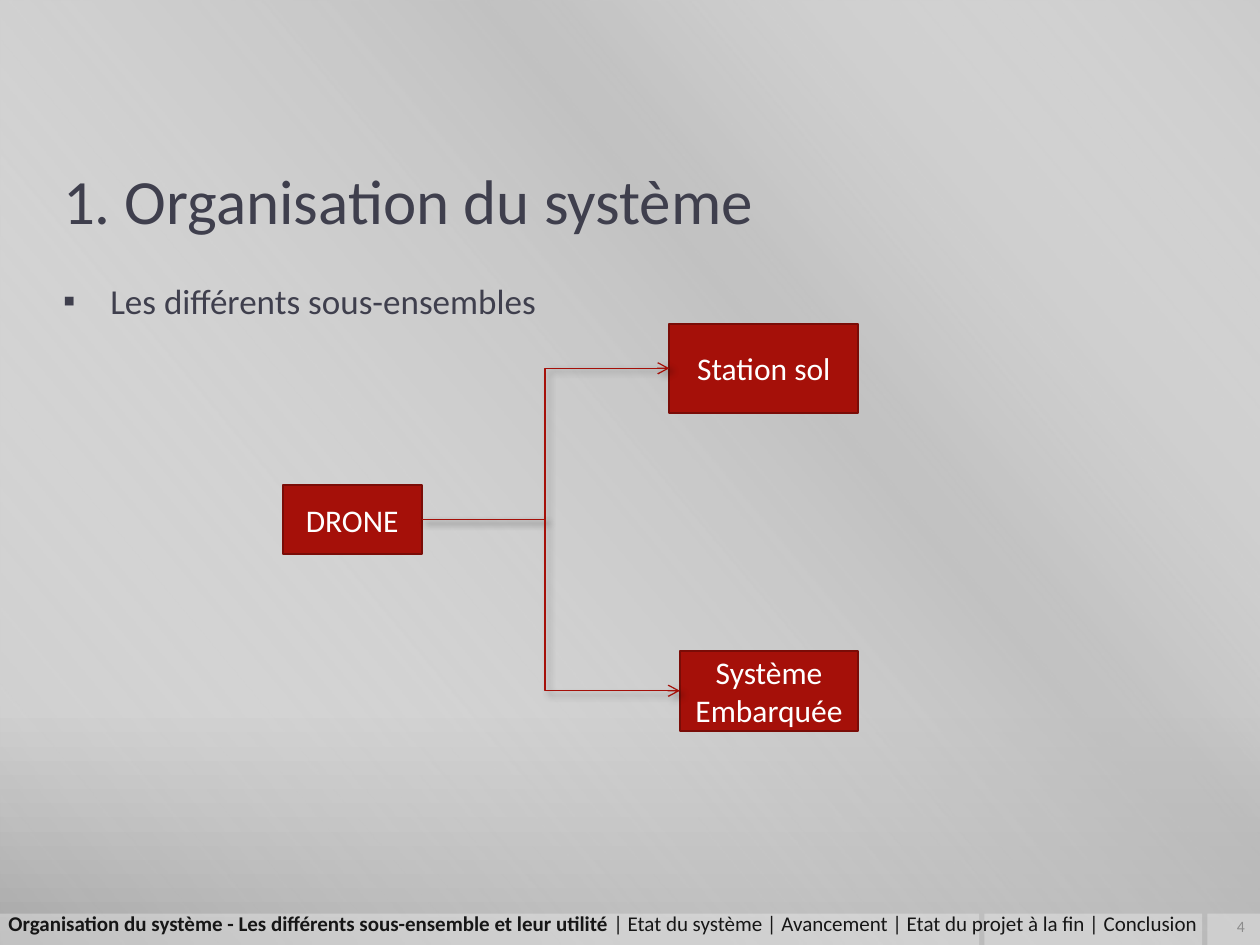
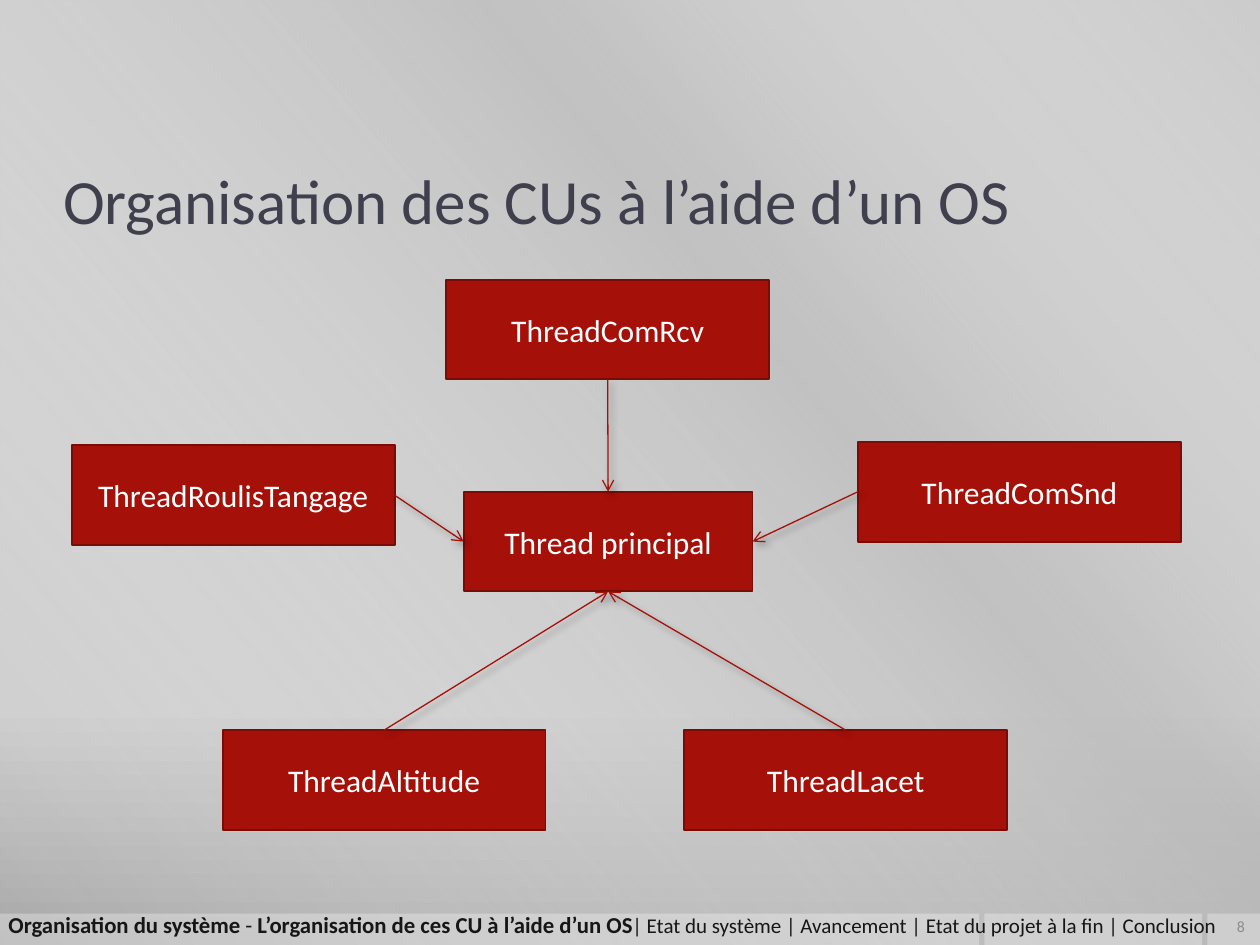
import pptx
import pptx.util
import pptx.oxml
import pptx.oxml.ns
import pptx.dml.color
import pptx.enum.shapes
import pptx.enum.text
import lxml.etree

Pt = pptx.util.Pt
qn = pptx.oxml.ns.qn
RGB = pptx.dml.color.RGBColor.from_string
ALIGN = pptx.enum.text.PP_ALIGN
ANCHOR = pptx.enum.text.MSO_ANCHOR
RECTANGLE = pptx.enum.shapes.MSO_SHAPE.RECTANGLE
CONNECTOR = pptx.enum.shapes.MSO_CONNECTOR
TOP, LEFT, BOTTOM, RIGHT = range(4)

COLORS = {
    "heading": "3F3F4D", "footer": "161616", "number": "8C8C8C",
    "box": "A51009", "box edge": "7A0C07", "white": "FFFFFF",
    "sheen": "BFBFBF", "shadow": "000000",
    "sky": "CBCBCB", "middle": "C8C8C8", "ground": "A7A7A7",
}
BAND_TOP, BAND_HEIGHT = 522, 18
BANDS = [(0, 559.5), (562.5, 124.5), (690, 30)]
TAGLINE = "| Etat du système | Avancement | Etat du projet à la fin | Conclusion"

SLIDES = [
    {
        "title": "1. Organisation du système",
        "bullets": ["Les différents sous-ensembles"],
        "number": "4",
        "boxes": {
            "DRONE": (161.5, 277.25, 79.5, 39.5),
            "Système Embarquée": (388.5, 372, 102, 45.5),
            "Station sol": (382.5, 185, 108, 51),
        },
        "bend": 311.5,
        "arrows": [
            ("DRONE", RIGHT, "Station sol", LEFT),
            ("DRONE", RIGHT, "Système Embarquée", LEFT),
        ],
        "footer": [
            ("Organisation du système - Les différents sous-ensemble et leur utilité ", 12, True),
            (TAGLINE, 12, False),
        ],
    },
    {
        "title": "Organisation des CUs à l’aide d’un OS",
        "bullets": [],
        "number": "8",
        "boxes": {
            "Thread principal": (265, 281, 165, 57),
            "ThreadRoulisTangage": (41, 254.5, 184.5, 57),
            "ThreadComRcv": (255, 159.75, 184.5, 57),
            "ThreadAltitude": (127.25, 417.25, 184.5, 57),
            "ThreadLacet": (391, 417.25, 184.5, 57),
            "ThreadComSnd": (490.25, 252.5, 184.5, 57),
        },
        "bend": None,
        "arrows": [
            ("ThreadComRcv", BOTTOM, "Thread principal", TOP),
            ("ThreadRoulisTangage", RIGHT, "Thread principal", LEFT),
            ("ThreadAltitude", TOP, "Thread principal", BOTTOM),
            ("ThreadLacet", TOP, "Thread principal", BOTTOM),
            ("ThreadComSnd", LEFT, "Thread principal", RIGHT),
        ],
        "footer": [
            ("Organisation du système ", 13, True),
            ("- ", 13, False),
            ("L’organisation de ces CU à l’aide d’un OS", 13, True),
            (TAGLINE, 12, False),
        ],
    },
]


def set_gradient(fill, holder, stops, angle):
    """Fill with (position, colour, opacity) stops; the angle turns clockwise."""
    fill.gradient()
    fill.gradient_angle = 360 - angle
    stop_list = next(holder.iter(qn("a:gsLst")))
    for old_stop in list(stop_list):
        stop_list.remove(old_stop)
    for position, color, opacity in stops:
        stop = lxml.etree.SubElement(stop_list, qn("a:gs"), pos=str(position * 1000))
        tint = lxml.etree.SubElement(stop, qn("a:srgbClr"), val=COLORS[color])
        if opacity < 100:
            lxml.etree.SubElement(tint, qn("a:alpha"), val=str(opacity * 1000))


def write_text(frame, runs, color, align, anchor, side_inset=7.2):
    """Write (text, size, bold) runs as one paragraph and return it."""
    settings = {
        "word_wrap": True, "auto_size": pptx.enum.text.MSO_AUTO_SIZE.NONE,
        "vertical_anchor": anchor,
        "margin_left": Pt(side_inset), "margin_right": Pt(side_inset),
        "margin_top": Pt(3.6), "margin_bottom": Pt(3.6),
    }
    for name, value in settings.items():
        setattr(frame, name, value)
    para = frame.paragraphs[0]
    para.alignment = align
    for text, size, bold in runs:
        span = para.add_run()
        span.text = text
        for name, value in {"name": "Calibri", "size": Pt(size), "bold": bold}.items():
            setattr(span.font, name, value)
        span.font.color.rgb = RGB(COLORS[color])
    return para


deck = pptx.Presentation()
deck.slide_width, deck.slide_height = Pt(720), Pt(540)
pages = [
    deck.slides.add_slide(deck.slide_layouts[1 if content["bullets"] else 5])
    for content in SLIDES
]

# Backdrop and footer bands are made on a page, then moved to the master
master = deck.slide_master
set_gradient(
    master.background.fill, master.element,
    [(0, "sky", 100), (76, "middle", 100), (100, "ground", 100)], 90,
)
sheen = pages[0].shapes.add_shape(RECTANGLE, 0, 0, Pt(720), Pt(540))
set_gradient(
    sheen.fill, sheen.element,
    [(0, "white", 0), (34, "sheen", 61), (38, "sheen", 76), (100, "white", 0)], 140,
)
backdrop = [sheen]
for left, width in BANDS:
    band = pages[0].shapes.add_shape(
        RECTANGLE, Pt(left), Pt(BAND_TOP), Pt(width), Pt(BAND_HEIGHT))
    band.fill.solid()
    band.fill.fore_color.rgb = RGB(COLORS["white"])
    tint = next(band.element.iter(qn("a:srgbClr")))
    lxml.etree.SubElement(tint, qn("a:alpha"), val="30000")
    backdrop.append(band)
for index, shape in enumerate(backdrop):
    shape.shadow.inherit = False
    shape.line.fill.background()
    shape.element.nvSpPr.cNvPr.set("id", str(100 + index))
    master.shapes.element.insert(2 + index, shape.element)

for page, content in zip(pages, SLIDES):
    title = page.shapes.title
    title.left, title.top, title.width, title.height = Pt(36), Pt(78), Pt(648), Pt(72)
    write_text(title.text_frame, [(content["title"], 36, False)],
               "heading", ALIGN.LEFT, ANCHOR.MIDDLE, 0)

    for bullet in content["bullets"]:
        body = page.placeholders[1]
        body.left, body.top, body.width, body.height = Pt(36), Pt(156), Pt(648), Pt(326)
        para = write_text(body.text_frame, [(bullet, 20, False)],
                          "heading", ALIGN.LEFT, ANCHOR.TOP, 0)
        para.space_before, para.space_after = Pt(4), Pt(6)
        properties = para._p.get_or_add_pPr()
        properties.set("marL", str(Pt(27)))
        properties.set("indent", str(-Pt(27)))
        lxml.etree.SubElement(properties, qn("a:buChar"), char="▪")

    number = page.shapes.add_textbox(Pt(688.5), Pt(520.5), Pt(30), Pt(18))
    write_text(number.text_frame, [(content["number"], 9, False)],
               "number", ALIGN.RIGHT, ANCHOR.MIDDLE)

    boxes = {}
    for label, frame in content["boxes"].items():
        box = page.shapes.add_shape(RECTANGLE, *map(Pt, frame))
        box.shadow.inherit = False
        box.fill.solid()
        box.fill.fore_color.rgb = RGB(COLORS["box"])
        box.line.color.rgb = RGB(COLORS["box edge"])
        box.line.width = Pt(1.1)
        write_text(box.text_frame, [(label, 18, False)],
                   "white", ALIGN.CENTER, ANCHOR.MIDDLE)
        boxes[label] = box

    bend = content["bend"]
    for start, start_side, end, end_side in content["arrows"]:
        kind = CONNECTOR.ELBOW if bend else CONNECTOR.STRAIGHT
        arrow = page.shapes.add_connector(kind, 0, 0, 0, 0)
        arrow.begin_connect(boxes[start], start_side)
        arrow.end_connect(boxes[end], end_side)
        arrow.line.color.rgb = RGB(COLORS["box"])
        arrow.line.width = Pt(0.75)
        lxml.etree.SubElement(arrow.line._get_or_add_ln(), qn("a:tailEnd"), type="arrow")
        if bend:
            share = (Pt(bend) - arrow.begin_x) / (arrow.end_x - arrow.begin_x)
            guides = arrow.element.spPr.prstGeom.get_or_add_avLst()
            lxml.etree.SubElement(guides, qn("a:gd"), name="adj1",
                                  fmla=f"val {round(share * 100000)}")
        effects = lxml.etree.SubElement(arrow.element.spPr, qn("a:effectLst"))
        shadow = lxml.etree.SubElement(
            effects, qn("a:outerShdw"), blurRad=str(Pt(4)), dist=str(Pt(3)),
            dir=str(45 * 60000), rotWithShape="0")
        tint = lxml.etree.SubElement(shadow, qn("a:srgbClr"), val=COLORS["shadow"])
        lxml.etree.SubElement(tint, qn("a:alpha"), val="40000")

    footer = page.shapes.add_textbox(Pt(-2.25), Pt(517), Pt(722.25), Pt(22))
    write_text(footer.text_frame, content["footer"], "footer", ALIGN.LEFT, ANCHOR.TOP)

deck.save("out.pptx")
